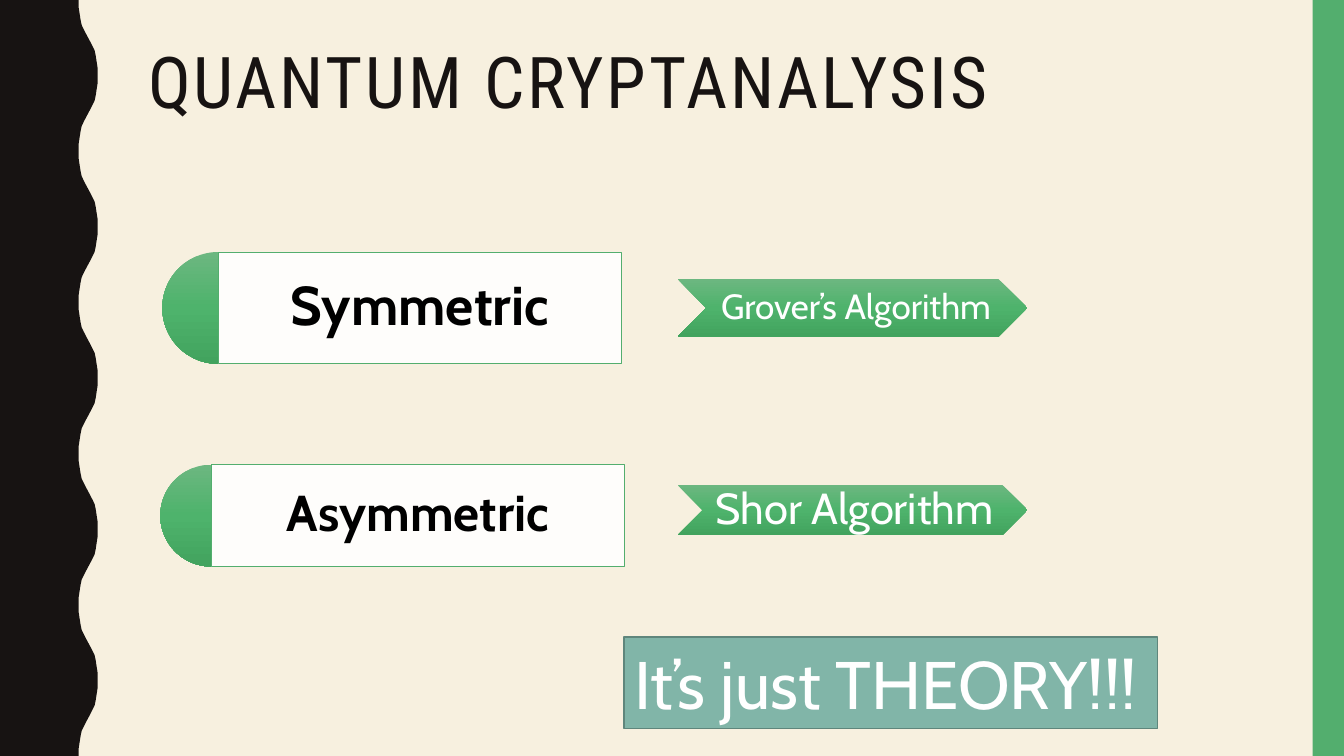
from copy import deepcopy

from lxml.etree import SubElement
from pptx import Presentation
from pptx.dml.color import RGBColor
from pptx.enum.shapes import MSO_SHAPE
from pptx.enum.text import MSO_ANCHOR, PP_ALIGN
from pptx.oxml.ns import qn
from pptx.util import Inches, Pt

CREAM, INK, GREEN, WHITE, BLACK = "F7F0DF", "171312", "53AE6E", "FFFFFF", "000000"
TEAL, TEAL_EDGE = "81B5A8", "5F867C"
SHEEN = [(0, "6CB780"), (0.5, "4EB36C"), (1, "42A35E")]
HEADING, BODY = "Roboto Condensed", "Cabin"


def rgb(value):
    return RGBColor.from_string(value)


class Deck:
    """Places elements by percent of the slide's width and height."""

    def __init__(self, background):
        self.presentation = Presentation()
        self.presentation.slide_width = Inches(13.33)
        self.presentation.slide_height = Inches(7.5)
        self.slide = self.presentation.slides.add_slide(self.presentation.slide_layouts[6])
        self.slide.background.fill.solid()
        self.slide.background.fill.fore_color.rgb = rgb(background)
        self.shapes = self.slide.shapes

    def x(self, share):
        return round(self.presentation.slide_width * share / 100)

    def y(self, share):
        return round(self.presentation.slide_height * share / 100)

    def width_of(self, height):
        """Width share that measures the same as a height share."""
        return height * self.presentation.slide_height / self.presentation.slide_width

    def place(self, left, top, width, height):
        return self.x(left), self.y(top), self.x(width), self.y(height)

    def start_group(self):
        self.shapes = self.slide.shapes.add_group_shape().shapes

    def end_group(self):
        self.shapes = self.slide.shapes

    def paint(self, shape, fill, edge=None, edge_width=0.5, alpha=None):
        shape.shadow.inherit = False
        if isinstance(fill, list):
            shape.fill.gradient()
            shape.fill.gradient_angle = 270
            stops = shape._element.spPr.find(qn("a:gradFill")).find(qn("a:gsLst"))
            stops.append(deepcopy(stops[-1]))
            for stop, (position, color) in zip(shape.fill.gradient_stops, fill):
                stop.position = position
                stop.color.rgb = rgb(color)
        else:
            shape.fill.solid()
            shape.fill.fore_color.rgb = rgb(fill)
        if alpha:
            color = shape._element.spPr.find(qn("a:solidFill"))[0]
            SubElement(color, qn("a:alpha")).set("val", str(alpha * 1000))
        if edge:
            shape.line.color.rgb = rgb(edge)
            shape.line.width = Pt(edge_width)
        else:
            shape.line.fill.background()
        return shape

    def shape(self, kind, at, fill, **style):
        return self.paint(self.shapes.add_shape(kind, *self.place(*at)), fill, **style)

    def outline(self, points, fill):
        start, *rest = [(self.x(x), self.y(y)) for x, y in points]
        builder = self.shapes.build_freeform(*start, scale=1.0)
        builder.add_line_segments(rest, close=True)
        return self.paint(builder.convert_to_shape(), fill)

    def set_words(self, holder, words, size, color, font=BODY, bold=False,
                  align=PP_ALIGN.LEFT, anchor=MSO_ANCHOR.TOP, spacing=None,
                  tracking=None, insets=(0.1, 0.05, 0.1, 0.05)):
        frame = holder.text_frame
        frame.text = words
        frame.word_wrap = True
        frame.vertical_anchor = anchor
        (frame.margin_left, frame.margin_top,
         frame.margin_right, frame.margin_bottom) = map(Inches, insets)
        paragraph = frame.paragraphs[0]
        paragraph.alignment = align
        if spacing:
            paragraph.line_spacing = spacing
        run = paragraph.runs[0]
        run.font.name, run.font.size, run.font.bold = font, Pt(size), bold
        run.font.color.rgb = rgb(color)
        if tracking:
            run._r.get_or_add_rPr().set("spc", str(tracking * 100))

    def text(self, at, words, size, color, **style):
        self.set_words(self.shapes.add_textbox(*self.place(*at)), words, size, color,
                       spacing=0.9, **style)

    def label(self, at, words, size, color, **style):
        self.text(at, words, size, color, align=PP_ALIGN.CENTER,
                  anchor=MSO_ANCHOR.MIDDLE, **style)


def wave_edge():
    """Five identical waves, each mirrored from one quarter."""
    quarter = [(5.85, 0), (5.85, 0.93), (5.93, 1.87), (6, 2.67),
               (6.08, 3.33), (6.23, 3.87), (6.38, 4.4)]
    outward = quarter + [(6.56, 5)] + [(13.12 - x, 10 - y) for x, y in reversed(quarter)]
    wave = outward + [(x, 20 - y) for x, y in reversed(outward[:-1])]
    return [(x, y + 20 * turn) for turn in range(5) for x, y in wave]


def main():
    deck = Deck(CREAM)

    # Side decoration
    deck.outline([(0, 0), *wave_edge(), (0, 100)], INK)
    deck.shape(MSO_SHAPE.RECTANGLE, (97.67, 0, 2.33, 100), GREEN)

    # Title
    deck.text((10.28, 5.6, 83.5, 21.73), "QUANTUM CRYPTANALYSIS", 51, INK,
              font=HEADING, tracking=2)

    # Cipher families: half disc and name panel
    families = [("Symmetric", 39, 12.08, 33.33, 30, 14.8, 0.16),
                ("Asymmetric", 36, 11.93, 61.47, 30.76, 13.47, 0.15)]
    for family, size, left, top, width, height, inset in families:
        deck.start_group()
        diameter = deck.width_of(height)
        half_disc = deck.shape(MSO_SHAPE.PIE, (left, top, diameter, height), SHEEN)
        half_disc.adjustments[0], half_disc.adjustments[1] = 54, 162
        panel = (left + diameter / 2, top, width, height)
        deck.shape(MSO_SHAPE.RECTANGLE, panel, WHITE, edge=GREEN, alpha=90)
        deck.label(panel, family, size, BLACK, bold=True, insets=[inset] * 4)

    # Quantum attacks: the label fills the chevron between its two points
    attacks = [("Grover’s Algorithm", 25, 36.93, 7.6, (0.11, 0.04, 0.04, 0.04)),
               ("Shor Algorithm", 31, 64.13, 6.67, (0.04, 0.02, 0, 0.02))]
    left, width = 50.41, 26.03
    for attack, size, top, height, insets in attacks:
        deck.start_group()
        point = deck.width_of(height) / 2
        deck.shape(MSO_SHAPE.CHEVRON, (left, top, width, height), SHEEN)
        deck.label((left + point, top, width - 2 * point, height), attack, size, WHITE,
                   insets=insets)
    deck.end_group()

    # Closing remark
    remark = deck.shape(MSO_SHAPE.RECTANGLE, (46.44, 84.27, 39.68, 12.13), TEAL,
                        edge=TEAL_EDGE, edge_width=1)
    deck.set_words(remark, "It’s just THEORY!!!", 48, WHITE)

    deck.presentation.save("out.pptx")


if __name__ == "__main__":
    main()
